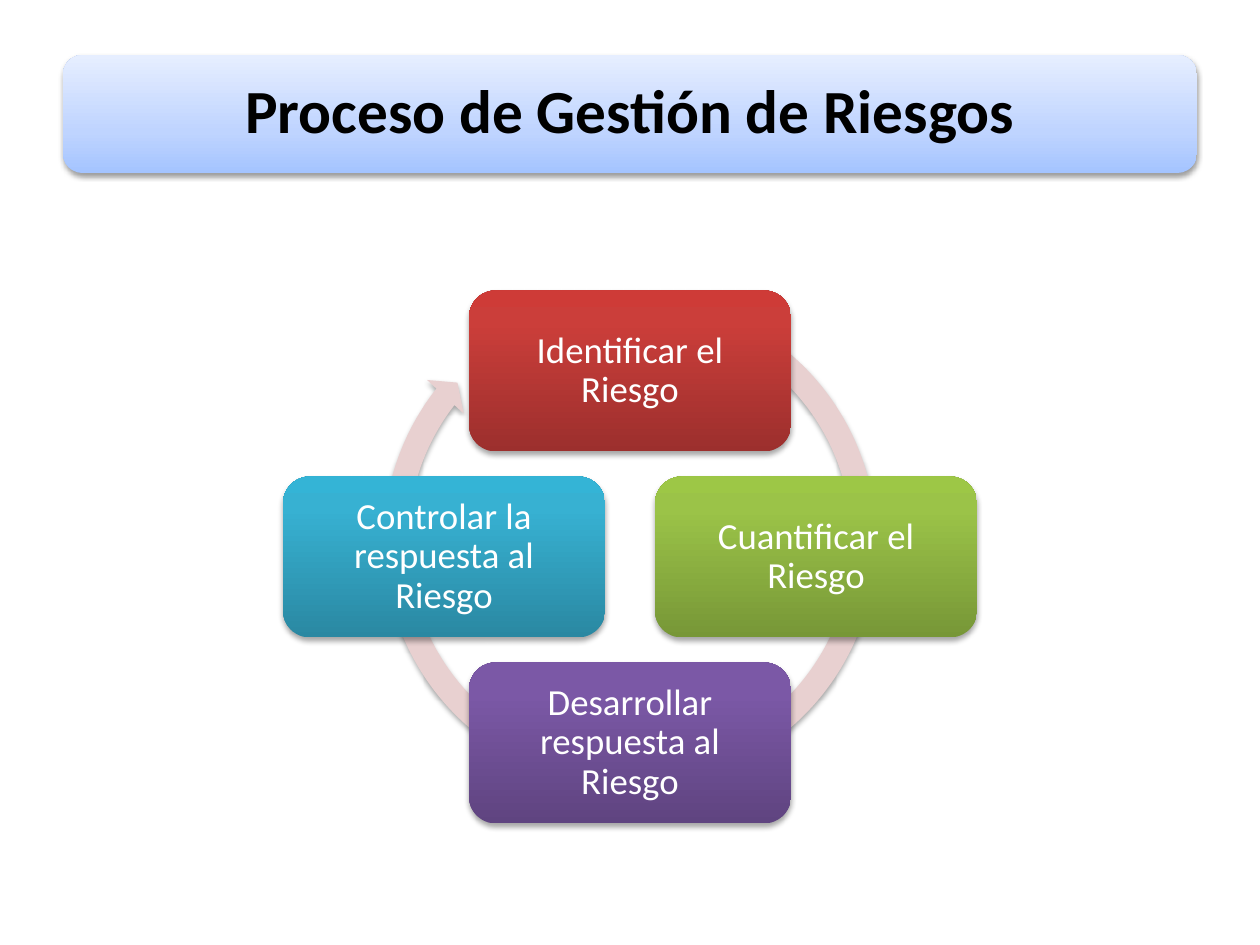
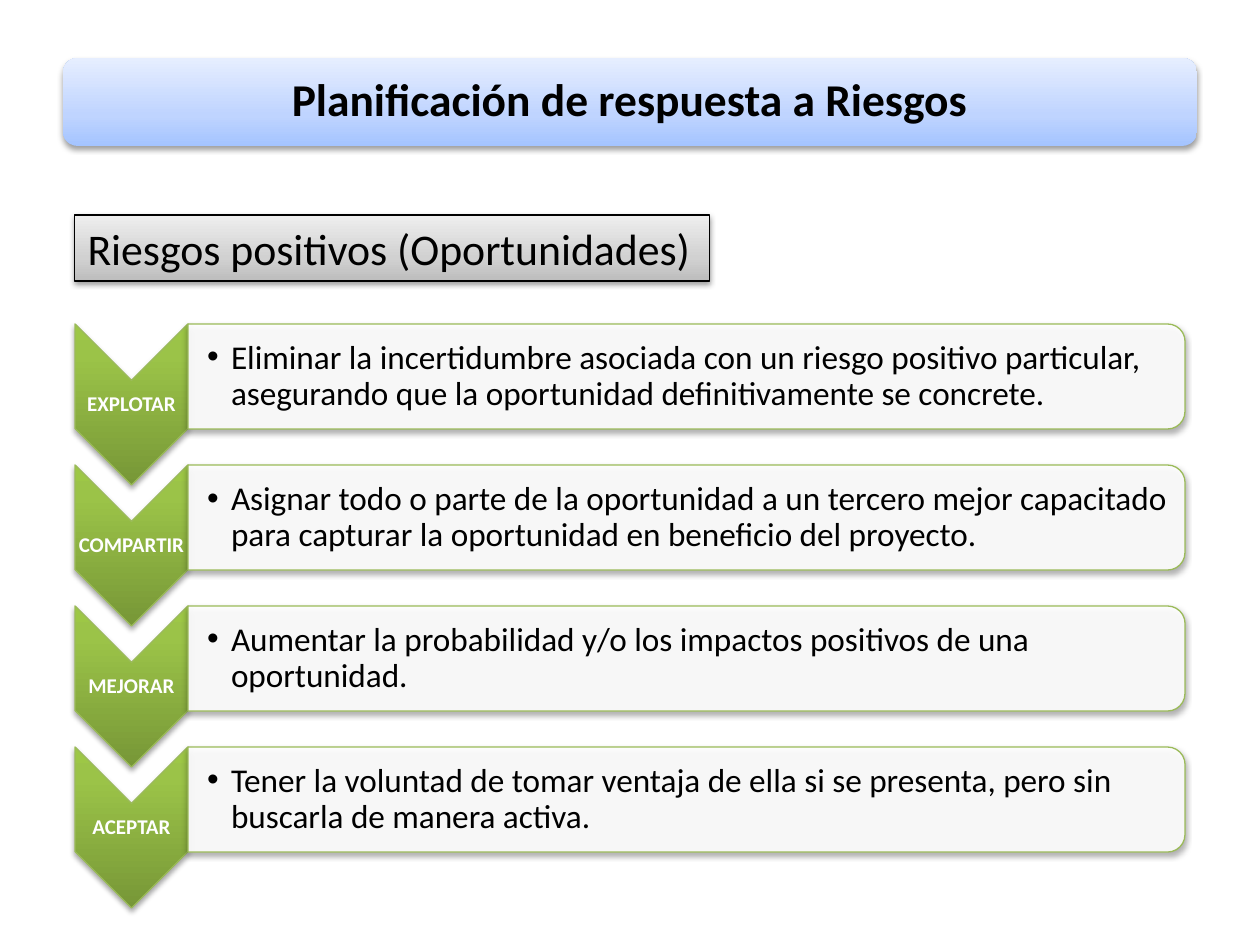
from lxml import etree
from pptx import Presentation
from pptx import util as u
from pptx.dml.color import RGBColor
from pptx.enum import shapes, text
from pptx.oxml.ns import qn

KIND = shapes.MSO_SHAPE
ALIGN = text.PP_ALIGN
PX = u.Inches(1) / 126
WIDE, HIGH = 1260, 945
FONT = "Calibri"

BLACK = RGBColor(0x00, 0x00, 0x00)
WHITE = RGBColor(0xFF, 0xFF, 0xFF)
PINK = RGBColor(0xE8, 0xD0, 0xD0)
LIME = RGBColor(0x9B, 0xBB, 0x59)


def ramp(mid, *tones):
    """Gradient stops from bottom to top, the middle one at mid percent."""
    return list(zip((0, mid, 100), map(RGBColor.from_string, tones)))


BLUE = ramp(35, "A4C4FF", "BFD4FF", "E6EEFF")
GREY = ramp(35, "BDBDBD", "D1D1D1", "EEEEEE")
RED = ramp(80, "9C2F2D", "CB3E3A", "CE3B37")
GREEN = ramp(80, "779737", "9BC348", "9DC746")
VIOLET = ramp(80, "5F4480", "7B58A6", "7C57A8")
TEAL = ramp(80, "2A88A2", "37B1D2", "34B4D6")

SOFT = (35, 23000)  # shadow opacity in percent, distance in EMU
FIRM = (38, 20000)

# title, then band top, band height, font size and inset
CYCLE = ("Proceso de Gestión de Riesgos", 55, 118, 35, 19)
PLAN = ("Planificación de respuesta a Riesgos", 58, 88, 26, 14)

STEPS = [  # label, fill, column and row offset from the hub
    ("Identificar el Riesgo", RED, 0, -1),
    ("Cuantificar el Riesgo", GREEN, 1, 0),
    ("Desarrollar respuesta al Riesgo", VIOLET, 0, 1),
    ("Controlar la respuesta al Riesgo", TEAL, -1, 0),
]
HUB, REACH, BOX = (630, 557), 186, (322, 161)
RING_MID, RING = (630, 541), (518, 518)
RING_ADJ = (0.047, 2.729, 130.8, 178.637, 0.048)

TAG = "Riesgos positivos (Oportunidades)"
MOVES = [
    ("EXPLOTAR", "Eliminar la incertidumbre asociada con un riesgo positivo "
     "particular, asegurando que la oportunidad definitivamente se concrete."),
    ("COMPARTIR", "Asignar todo o parte de la oportunidad a un tercero mejor "
     "capacitado para capturar la oportunidad en beneficio del proyecto."),
    ("MEJORAR", "Aumentar la probabilidad y/o los impactos positivos de una "
     "oportunidad."),
    ("ACEPTAR", "Tener la voluntad de tomar ventaja de ella si se presenta, "
     "pero sin buscarla de manera activa."),
]
LEFT, TOP, PITCH = 75, 324, 141  # first row's corner, step between rows
ARROW_W, ARROW_H = 113, 161
PANEL_W, PANEL_H = 997, 105


def px(*sizes):
    return [u.Emu(round(s * PX)) for s in sizes]


def paint(shape, fill):
    """Fill with one colour or with a list of gradient stops."""
    if isinstance(fill, RGBColor):
        shape.fill.solid()
        shape.fill.fore_color.rgb = fill
        return
    shape.fill.gradient()
    shape.fill.gradient_angle = 90
    grad = shape._element.spPr.find(qn("a:gradFill"))
    grad.set("rotWithShape", "0")
    stops = grad.find(qn("a:gsLst"))
    for old in list(stops):
        stops.remove(old)
    for pos, tone in fill:
        stop = etree.SubElement(stops, qn("a:gs"), pos=str(pos * 1000))
        etree.SubElement(stop, qn("a:srgbClr"), val=str(tone))


def fade(tone, share):
    """Set the opacity of a colour element in percent."""
    etree.SubElement(tone, qn("a:alpha"), val=str(share * 1000))


def shade(shape, depth):
    """Drop a shadow straight down."""
    share, dist = depth
    shape.shadow.inherit = False
    fx = shape._element.spPr.find(qn("a:effectLst"))
    drop = etree.SubElement(fx, qn("a:outerShdw"), blurRad="40000",
                            dist=str(dist), dir="5400000", rotWithShape="0")
    fade(etree.SubElement(drop, qn("a:srgbClr"), val=str(BLACK)), share)


def draw(slide, kind, mid, size, fill, depth=SOFT, edge=None, turn=0):
    """Add a preset shape centred on mid; size is taken before the turn."""
    (x, y), (w, h) = mid, size
    shape = slide.shapes.add_shape(kind, *px(x - w / 2, y - h / 2, w, h))
    shape.rotation = turn
    paint(shape, fill)
    if edge is None:
        shape.line.fill.background()
    else:
        shape.line.color.rgb = edge
        shape.line.width = u.Pt(0.75)
    shade(shape, depth)
    return shape


def write(shape, words, size, color, bold=False, inset=(1, 1, 1, 1),
          align=ALIGN.CENTER, wrap=True, lead=0.9):
    frame = shape.text_frame
    frame.word_wrap = wrap
    frame.auto_size = text.MSO_AUTO_SIZE.NONE
    frame.vertical_anchor = text.MSO_ANCHOR.MIDDLE
    (frame.margin_left, frame.margin_top,
     frame.margin_right, frame.margin_bottom) = px(*inset)
    para = frame.paragraphs[0]
    para.alignment = align
    para.line_spacing = lead
    run = para.add_run()
    run.text = words
    font = run.font
    font.name, font.size, font.bold = FONT, u.Pt(size), bold
    font.color.rgb = color
    return para


def bullet(para):
    props = para._p.get_or_add_pPr()
    hang = px(24)[0]
    props.set("marL", str(hang))
    props.set("indent", str(-hang))
    etree.SubElement(props, qn("a:buFont"), typeface="Arial")
    etree.SubElement(props, qn("a:buChar"), char="•")


def start(deck, words, top, high, size, pad):
    """Add a slide whose title lies on a rounded blue band."""
    slide = deck.slides.add_slide(deck.slide_layouts[5])
    side = 63
    wide = WIDE - 2 * side
    band = draw(slide, KIND.ROUNDED_RECTANGLE, (WIDE / 2, top + high / 2),
                (wide, high), BLUE, FIRM)
    slide.shapes._spTree.insert(2, band._element)  # behind the title
    title = slide.shapes.title
    title.left, title.top, title.width, title.height = px(
        side, top, wide, high)
    write(title, words, size, BLACK, True, (pad,) * 4)
    return slide


def ring(slide):
    arrow = draw(slide, KIND.CIRCULAR_ARROW, RING_MID, RING, PINK)
    for i, value in enumerate(RING_ADJ):
        arrow.adjustments[i] = value


def step(slide, words, fill, col, row):
    mid = (HUB[0] + col * REACH, HUB[1] + row * REACH)
    box = draw(slide, KIND.ROUNDED_RECTANGLE, mid, BOX, fill)
    write(box, words, 21, WHITE, inset=(11,) * 4)


def tag(slide):
    box = draw(slide, KIND.RECTANGLE, (392, 248), (635, 66),
               GREY, FIRM, BLACK)
    write(box, TAG, 25, BLACK, inset=(13, 6, 13, 6), align=ALIGN.LEFT,
          wrap=False, lead=1.0)


def move(slide, top, name, words):
    """Add one row: a chevron pointing down and a panel beside it."""
    split = LEFT + ARROW_W
    draw(slide, KIND.CHEVRON, (LEFT + ARROW_W / 2, top + ARROW_H / 2),
         (ARROW_H, ARROW_W), GREEN, edge=LIME, turn=90)
    notch = ARROW_W / 2
    label = slide.shapes.add_textbox(
        *px(LEFT, top + notch, ARROW_W, ARROW_H - 2 * notch))
    write(label, name, 12, WHITE, True)

    panel = draw(slide, KIND.ROUND_2_SAME_RECTANGLE,
                 (split + PANEL_W / 2, top + PANEL_H / 2),
                 (PANEL_H, PANEL_W), WHITE, edge=LIME, turn=90)
    fade(panel._element.spPr.find(qn("a:solidFill"))[0], 90)
    body = slide.shapes.add_textbox(
        *px(split, top + 5, PANEL_W - 5, PANEL_H - 10))
    bullet(write(body, words, 19, BLACK, inset=(19, 1, 1, 1),
                 align=ALIGN.LEFT))


def main():
    deck = Presentation()
    deck.slide_width, deck.slide_height = px(WIDE, HIGH)

    slide = start(deck, *CYCLE)
    ring(slide)
    for item in STEPS:
        step(slide, *item)

    slide = start(deck, *PLAN)
    tag(slide)
    for i, item in enumerate(MOVES):
        move(slide, TOP + i * PITCH, *item)

    deck.save("out.pptx")


if __name__ == "__main__":
    main()
